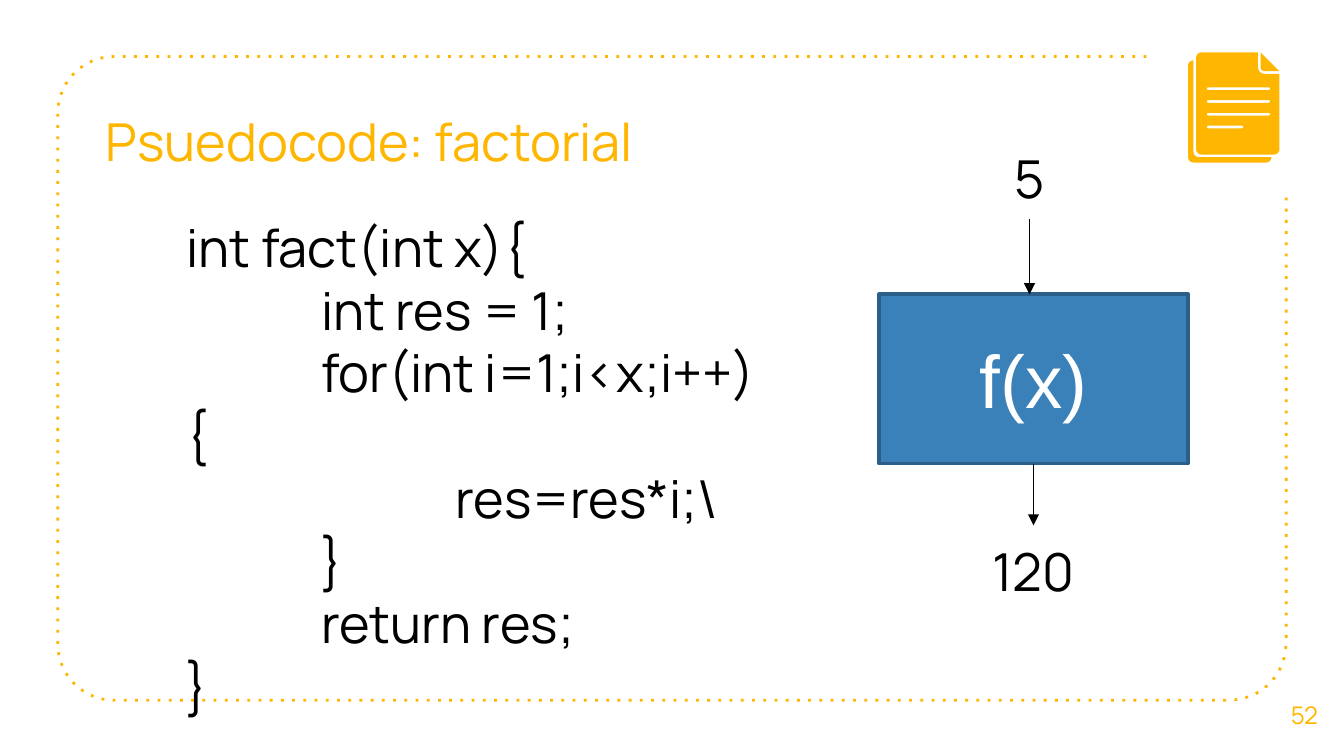
from math import cos, radians, sin

from lxml.etree import SubElement
from pptx import Presentation
from pptx.dml.color import RGBColor
from pptx.enum.shapes import MSO_CONNECTOR as Connector, MSO_SHAPE as Shape
from pptx.enum.text import MSO_ANCHOR as Anchor, PP_ALIGN as Align
from pptx.oxml.ns import qn
from pptx.util import Inches, Pt

COLORS = {"accent": "FFB600", "text": "000000", "box": "3A81BA",
          "box_line": "2B5F8A", "white": "FFFFFF"}


def arc(x, y, radius, start, end, steps=8):
    """Points on a circle; angles in degrees, clockwise from the right."""
    angles = [radians(start + (end - start) * i / steps) for i in range(steps + 1)]
    return [(x + radius * cos(a), y + radius * sin(a)) for a in angles]


def pill(left, right, middle, radius=0.01):
    return arc(right, middle, radius, -90, 90) + arc(left, middle, radius, 90, 270)


class SlideBuilder:
    font = "Manrope"

    def __init__(self, slide):
        self.slide = slide
        self.shapes = slide.shapes

    def color(self, name):
        return RGBColor.from_string(COLORS[name])

    def style(self, para, size, color, align, font=None):
        para.alignment = align
        para.font.name = font or self.font
        para.font.size = Pt(size)
        para.font.color.rgb = self.color(color)

    def text(self, lines, left, top, width, height, size=28, color="text",
             align=Align.LEFT, anchor=Anchor.TOP):
        box = self.shapes.add_textbox(*map(Inches, (left, top, width, height)))
        frame = box.text_frame
        frame.word_wrap = True
        frame.vertical_anchor = anchor
        frame.margin_left = frame.margin_right = Inches(0.1)
        frame.margin_top = frame.margin_bottom = Inches(0.1)
        for i, line in enumerate(lines):
            para = frame.add_paragraph() if i else frame.paragraphs[0]
            para.text = line
            # Default tab stops one inch apart
            para._p.get_or_add_pPr().set("defTabSz", str(Inches(1)))
            self.style(para, size, color, align)

    def outline(self, *contours, closed=True):
        paths = [[(Inches(x), Inches(y)) for x, y in points] for points in contours]
        builder = self.shapes.build_freeform(*paths[0][0], scale=1.0)
        for i, points in enumerate(paths):
            if i:
                builder.move_to(*points[0])
            builder.add_line_segments(points[1:], close=closed)
        shape = builder.convert_to_shape()
        shape.shadow.inherit = False
        return shape

    def solid(self, *contours):
        shape = self.outline(*contours)
        shape.fill.solid()
        shape.fill.fore_color.rgb = self.color("accent")
        shape.line.fill.background()

    def dotted(self, points):
        shape = self.outline(points, closed=False)
        shape.fill.background()
        shape.line.color.rgb = self.color("accent")
        shape.line.width = Pt(1.5)
        SubElement(shape.line._get_or_add_ln(), qn("a:prstDash"), val="dot")

    def box(self, label, left, top, width, height):
        box = self.shapes.add_shape(Shape.RECTANGLE,
                                    *map(Inches, (left, top, width, height)))
        box.shadow.inherit = False
        box.fill.solid()
        box.fill.fore_color.rgb = self.color("box")
        box.line.color.rgb = self.color("box_line")
        box.line.width = Pt(2)
        box.text_frame.vertical_anchor = Anchor.MIDDLE
        para = box.text_frame.paragraphs[0]
        para.text = label
        self.style(para, 40, "white", Align.CENTER, "Arial")
        return box

    def arrow(self, x, top, bottom):
        line = self.shapes.add_connector(
            Connector.STRAIGHT, *map(Inches, (x, top, x, bottom)))
        line.line.color.rgb = self.color("text")
        line.line.width = Pt(0.75)
        SubElement(line.line._get_or_add_ln(), qn("a:tailEnd"), type="triangle")
        SubElement(line._element.spPr, qn("a:effectLst"))
        return line


# A 16:9 page
deck = Presentation()
deck.slide_width, deck.slide_height = Inches(10), Inches(10 * 9 / 16)
page = SlideBuilder(deck.slides.add_slide(deck.slide_layouts[6]))

# Dotted frame, open at the top right corner
page.dotted([(8.53, 0.42)] + arc(0.85, 0.84, 0.42, 270, 180)
            + arc(0.85, 4.79, 0.42, 180, 90)
            + arc(9.15, 4.79, 0.42, 90, 0) + [(9.57, 1.46)])

# Title and page number
page.text(["Psuedocode: factorial"], 0.69, 0.71, 5.32, 0.64, color="accent")
page.text(["52"], 9.41, 5.02, 0.59, 0.6, 13, "accent", Align.CENTER, Anchor.MIDDLE)

# Document icon: back sheet, front sheet with cut-out lines, folded corner
page.solid(arc(8.88, 0.49, 0.04, 270, 180) + arc(8.88, 1.17, 0.04, 180, 90)
           + arc(9.42, 1.17, 0.04, 90, 0) + arc(8.92, 1.13, 0.04, 90, 180))
text_lines = [pill(8.99, right, 0.66 + 0.095 * i)
              for i, right in enumerate((9.44, 9.44, 9.44, 9.24))]
page.solid(arc(8.94, 0.43, 0.04, 270, 180) + arc(8.94, 1.11, 0.04, 180, 90)
           + arc(9.48, 1.11, 0.04, 90, 0) + [(9.52, 0.55)]
           + arc(9.41, 0.5, 0.05, 90, 180) + [(9.36, 0.39)], *text_lines)
page.solid([(9.38, 0.39)] + arc(9.41, 0.5, 0.03, 180, 90) + [(9.52, 0.53)])

# Code
page.text(["int fact(int x){",
           "\tint res = 1;",
           "\tfor(int i=1;i<x;i++){",
           "\t\tres=res*i;\\",
           "\t}",
           "\treturn res;",
           "}"], 1.29, 1.5, 4.58, 3.58)

# Function box with its input and output
function_box = page.box("f(x)", 6.54, 2.19, 2.3, 1.26)
page.text(["5"], 7.45, 0.99, 0.48, 0.64)
page.text(["120"], 7.15, 3.91, 1.08, 0.64, align=Align.CENTER)
page.arrow(7.66, 1.63, 2.19)
output_arrow = page.arrow(7.69, 3.45, 3.91)
output_arrow.begin_connect(function_box, 2)

deck.save("out.pptx")
